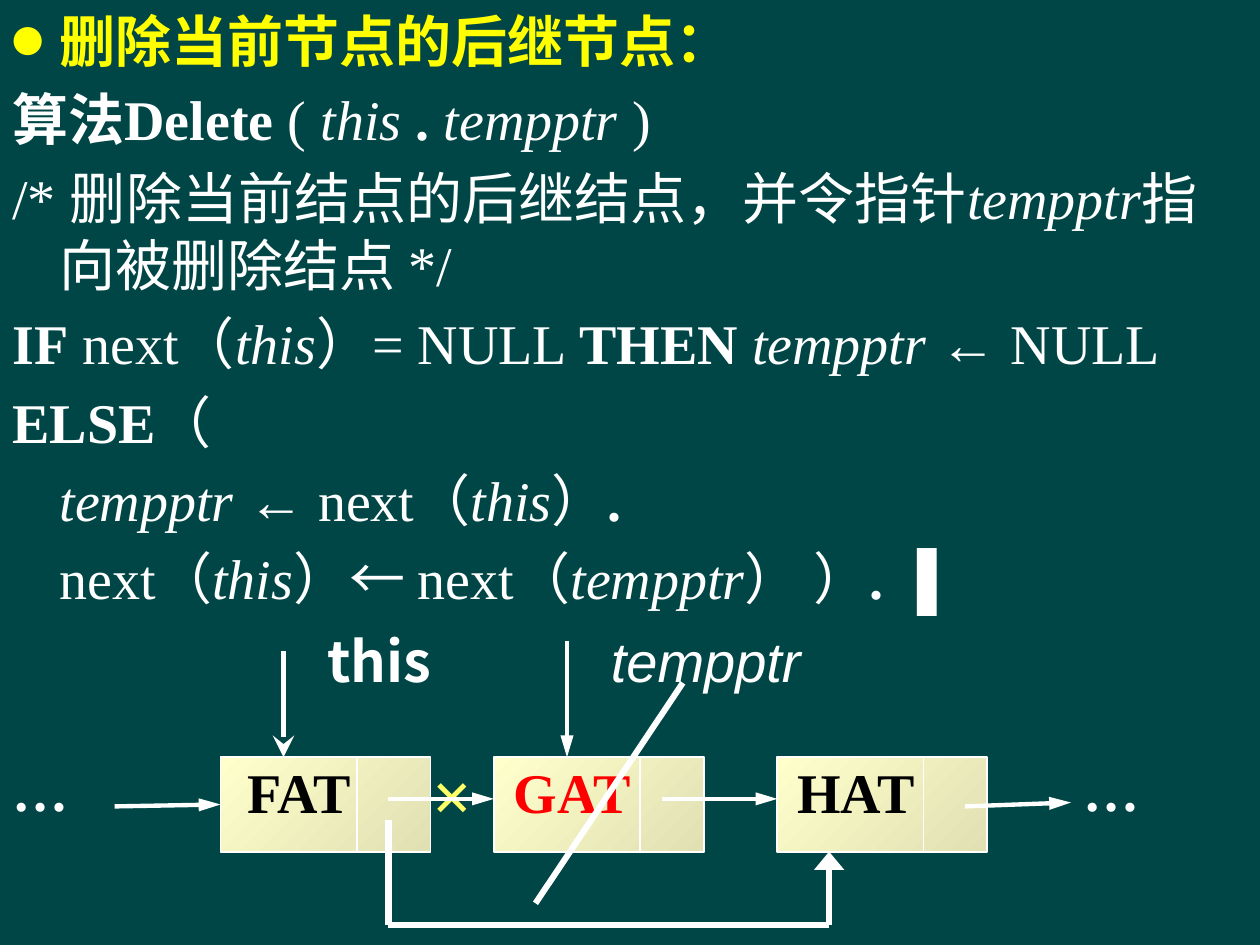
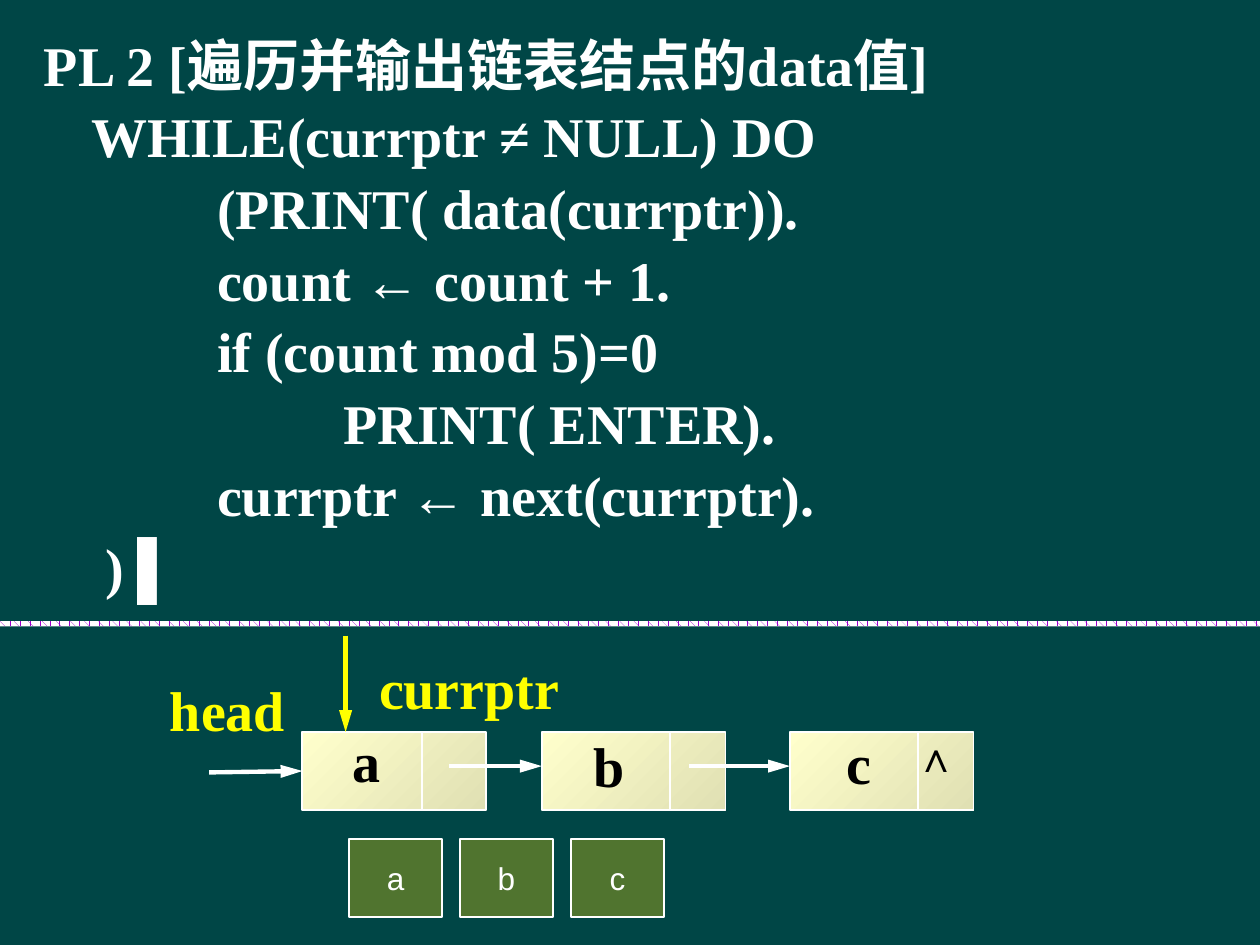
import pptx
import pptx.dml.color
import pptx.enum.dml
import pptx.enum.shapes
import pptx.enum.text
import pptx.oxml.ns
import pptx.util
from lxml import etree

Pt = pptx.util.Pt
ALIGN = pptx.enum.text.PP_ALIGN
ANCHOR = pptx.enum.text.MSO_ANCHOR
RECTANGLE = pptx.enum.shapes.MSO_SHAPE.RECTANGLE
STRAIGHT = pptx.enum.shapes.MSO_CONNECTOR.STRAIGHT

BACKGROUND, WHITE, BLACK = "004646", "FFFFFF", "000000"
YELLOW, PALE_YELLOW, RED = "FFFF00", "FFFF66", "FF0000"
CREAM, SAND, GREEN, PURPLE = "FFFFCC", "E0E0B3", "50742F", "9900CC"
SERIF, SANS, CHINESE = "Times New Roman", "Arial", "Noto Sans CJK SC"

# Arrowheads: type, width, length
SLIM = ("triangle", "med", "lg")
OPEN = ("stealth", "lg", "lg")
WIDE = ("triangle", "lg", "med")


def rgb(value):
    return pptx.dml.color.RGBColor.from_string(value)


def add_xml(parent, tag, **attributes):
    return etree.SubElement(parent, pptx.oxml.ns.qn(tag), attributes)


class Board:
    """Holds the deck, its style and the current slide."""

    def __init__(self):
        self.deck = pptx.Presentation()
        self.deck.slide_width, self.deck.slide_height = Pt(720), Pt(540)
        self.slide = None

    def new_slide(self):
        self.slide = self.deck.slides.add_slide(self.deck.slide_layouts[6])
        fill = self.slide.background.fill
        fill.solid()
        fill.fore_color.rgb = rgb(BACKGROUND)

    def style(self, span, size=32, color=WHITE, font=SERIF, marks="b"):
        span.font.size = Pt(size)
        span.font.name = font
        span.font.bold = "b" in marks
        span.font.italic = "i" in marks
        span.font.color.rgb = rgb(color)
        add_xml(span.font._element, "a:ea", typeface=CHINESE)

    def text_box(self, left, top, width, height):
        box = self.slide.shapes.add_textbox(Pt(left), Pt(top), Pt(width), Pt(height))
        box.text_frame.word_wrap = True
        return box

    def label(self, text, left, top, width, height, align=ALIGN.LEFT,
              inset=True, spacing=1.0, **look):
        frame = self.text_box(left, top, width, height).text_frame
        if not inset:
            frame.margin_left = frame.margin_right = 0
            frame.margin_top = frame.margin_bottom = 0
        frame.text = text
        para = frame.paragraphs[0]
        para.alignment = align
        para.line_spacing = spacing
        self.style(para.runs[0], **look)

    def listing(self, left, top, rows, align=ALIGN.LEFT, spacing=1.0):
        """Rows are (margin, hanging indent, [(text, marks), ...], look)."""
        frame = self.text_box(left, top, 720, 540).text_frame
        paras = []
        for number, (margin, hanging, spans, look) in enumerate(rows):
            para = frame.add_paragraph() if number else frame.paragraphs[0]
            para.alignment = align
            para.line_spacing = spacing
            para.space_before = Pt(6.4 if number else 0)
            properties = para._p.get_or_add_pPr()
            properties.set("marL", str(Pt(margin)))
            properties.set("indent", str(Pt(-hanging)))
            for text, marks in spans:
                span = para.add_run()
                span.text = text
                self.style(span, marks=marks, **look)
            paras.append(para)
        return paras

    def bullet(self, para, symbol, color, percent):
        properties = para._p.get_or_add_pPr()
        add_xml(add_xml(properties, "a:buClr"), "a:srgbClr", val=color)
        add_xml(properties, "a:buSzPct", val=str(percent * 1000))
        add_xml(properties, "a:buFont", typeface=CHINESE)
        add_xml(properties, "a:buChar", char=symbol)

    def rectangle(self, left, top, width, height, outline=WHITE):
        shape = self.slide.shapes.add_shape(
            RECTANGLE, Pt(left), Pt(top), Pt(width), Pt(height))
        shape.shadow.inherit = False
        if outline:
            shape.line.color.rgb = rgb(outline)
            shape.line.width = Pt(1)
        else:
            shape.line.fill.background()
        return shape

    def node(self, left, top, width, height, divider):
        shape = self.rectangle(left, top, width, height)
        shape.fill.gradient()
        shape.fill.gradient_angle = 315
        for stop, position, color in zip(
                shape.fill.gradient_stops, (0, 1), (CREAM, SAND)):
            stop.position = position
            stop.color.rgb = rgb(color)
        self.line(left + divider, top, left + divider, top + height, width=1)
        return shape

    def tile(self, text, left, top, width, height):
        shape = self.rectangle(left, top, width, height)
        shape.fill.solid()
        shape.fill.fore_color.rgb = rgb(GREEN)
        frame = shape.text_frame
        frame.word_wrap = False
        frame.vertical_anchor = ANCHOR.MIDDLE
        frame.text = text
        frame.paragraphs[0].alignment = ALIGN.CENTER
        self.style(frame.paragraphs[0].runs[0], 18, WHITE, SANS, "")

    def band(self, left, top, width, height):
        shape = self.rectangle(left, top, width, height, outline=None)
        shape.fill.patterned()
        shape.fill.pattern = pptx.enum.dml.MSO_PATTERN.PLAID
        shape.fill.fore_color.rgb = rgb(PURPLE)
        shape.fill.back_color.rgb = rgb(WHITE)

    def line(self, x1, y1, x2, y2, width=2.5, color=WHITE, head=None, target=None):
        """Draw a line; a target is joined at the middle of its left side."""
        connector = self.slide.shapes.add_connector(
            STRAIGHT, Pt(x1), Pt(y1), Pt(x2), Pt(y2))
        connector.line.color.rgb = rgb(color)
        connector.line.width = Pt(width)
        if head:
            kind, across, along = head
            add_xml(connector.line._get_or_add_ln(), "a:tailEnd",
                    type=kind, w=across, len=along)
        add_xml(connector._element.spPr, "a:effectLst")
        if target is not None:
            connector.end_connect(target, 1)


def build_delete(board):
    board.new_slide()

    # Algorithm
    rows = [
        (27, 27, [("删除当前节点的后继节点：", "b")], {"font": CHINESE, "color": YELLOW}),
        (27, 27, [("算法Delete ", "b"), ("( ", ""), ("this ", "i"), (". ", "b"),
                  ("tempptr", "i"), (" )", "")], {}),
        (27, 27, [("/* 删除当前结点的后继结点，并令指针", ""), ("tempptr", "i"),
                  ("指向被删除结点 */", "")], {}),
        (27, 27, [("IF", "b"), (" next（", ""), ("this", "i"), ("）= NULL ", ""),
                  ("THEN ", "b"), ("tempptr ", "i"), ("← NULL", "")], {}),
        (27, 27, [("ELSE", "b"), ("（", "")], {}),
        (27, 0, [("tempptr ", "i"), ("← next（", ""), ("this", "i"), ("）", ""),
                 (".", "b")], {}),
        (27, 0, [("next（", ""), ("this", "i"), ("）← next（", ""), ("tempptr", "i"),
                 ("） ）", ""), (". ", "b"), ("▐", "")], {}),
    ]
    paras = board.listing(0, 0, rows)
    board.bullet(paras[0], "●", YELLOW, 56)

    # List nodes
    board.label("×", 239.8, 426.2, 54.7, 55.4, size=40, color=PALE_YELLOW)
    top, lefts = 432.7, [126, 282.2, 444.2]
    nodes = []
    for left, text, color, divider in zip(
            lefts, ("FAT", "GAT", "HAT"), (BLACK, RED, BLACK), (78, 83.5, 83.5)):
        nodes.append(board.node(left, top, 120, 54, divider))
        board.label(text, left + 6, top, 78, 38.4, ALIGN.CENTER,
                    inset=False, color=color)
    for left in (0, 612):
        board.label("…", left, 426.2, 60, 47.5, spacing=1.05)

    # Links between nodes
    board.line(65.5, 460.8, lefts[0], 459.7, head=SLIM, target=nodes[0])
    for left, following in zip(lefts, lefts[1:]):
        board.line(left + 96, 456.5, following, 456.5, head=SLIM)
    board.line(551.5, 460.8, 612, 458.6, head=SLIM)

    # Pointers
    board.label("this", 180, 354.2, 90, 46, font=CHINESE)
    board.line(162, 372.2, 162, top, head=OPEN)
    board.label("tempptr", 342, 354.2, 142, 46, font=SANS, marks="i")
    board.line(324, 366.5, 324, top, head=SLIM)

    # Bypass link and strike through the deleted node
    corners = [(222, 468.7), (222, 528.5), (473.8, 528.5), (473.8, 486.7)]
    for start, end, head in zip(corners, corners[1:], (None, None, WIDE)):
        board.line(*start, *end, width=3.5, head=head)
    board.line(390.2, 390.2, 306, 516.2, width=3.5)


def build_traverse(board):
    board.new_slide()

    # Algorithm
    code = [
        (27, 27, "PL 2 [遍历并输出链表结点的data值]"),
        (27, 0, "WHILE(currptr ≠ NULL) DO"),
        (99, 0, "(PRINT( data(currptr))."),
        (99, 0, "count ← count + 1."),
        (99, 0, "if (count mod 5)=0"),
        (171, 0, "PRINT( ENTER)."),
        (99, 0, "currptr ← next(currptr)."),
        (35, 0, ") ▌"),
    ]
    rows = [(margin, hanging, [(text, "b")], {}) for margin, hanging, text in code]
    board.listing(18, 18, rows, ALIGN.JUSTIFY, 0.9)
    board.band(0, 355, 720, 3)

    # List nodes
    top, lefts = 418.3, [172.8, 309.6, 451.4]
    nodes = []
    for left, text, divider, shift, label_top in zip(
            lefts, "abc", (68.4, 73.4, 73.4), (2.2, 4.3, 5), (411.8, 414.7, 412.6)):
        nodes.append(board.node(left, top, 105, 44.6, divider))
        board.label(text, left + shift, label_top, 68.4, 45.4, ALIGN.CENTER,
                    color=BLACK)
    board.label("∧", 516.2, 414, 48, 36, size=24, color=BLACK)

    # Links between nodes
    board.line(119.5, 441.4, lefts[0], 440.6, head=SLIM, target=nodes[0])
    for left, following in zip(lefts, lefts[1:]):
        board.line(left + 84, 437.8, following, 437.8, head=SLIM)

    # Pointers
    board.label("head", 90, 382.3, 97.2, 45.4, color=YELLOW)
    board.label("currptr", 209.5, 370.1, 134, 45.4, color=YELLOW)
    board.line(197.5, 363.2, 197.5, top, color=YELLOW, head=SLIM)

    # Printed values
    for number, text in enumerate("abc"):
        board.tile(text, 199.4 + 63.4 * number, 479.5, 53.3, 44.6)


def main():
    board = Board()
    build_delete(board)
    build_traverse(board)
    board.deck.save("out.pptx")


if __name__ == "__main__":
    main()
